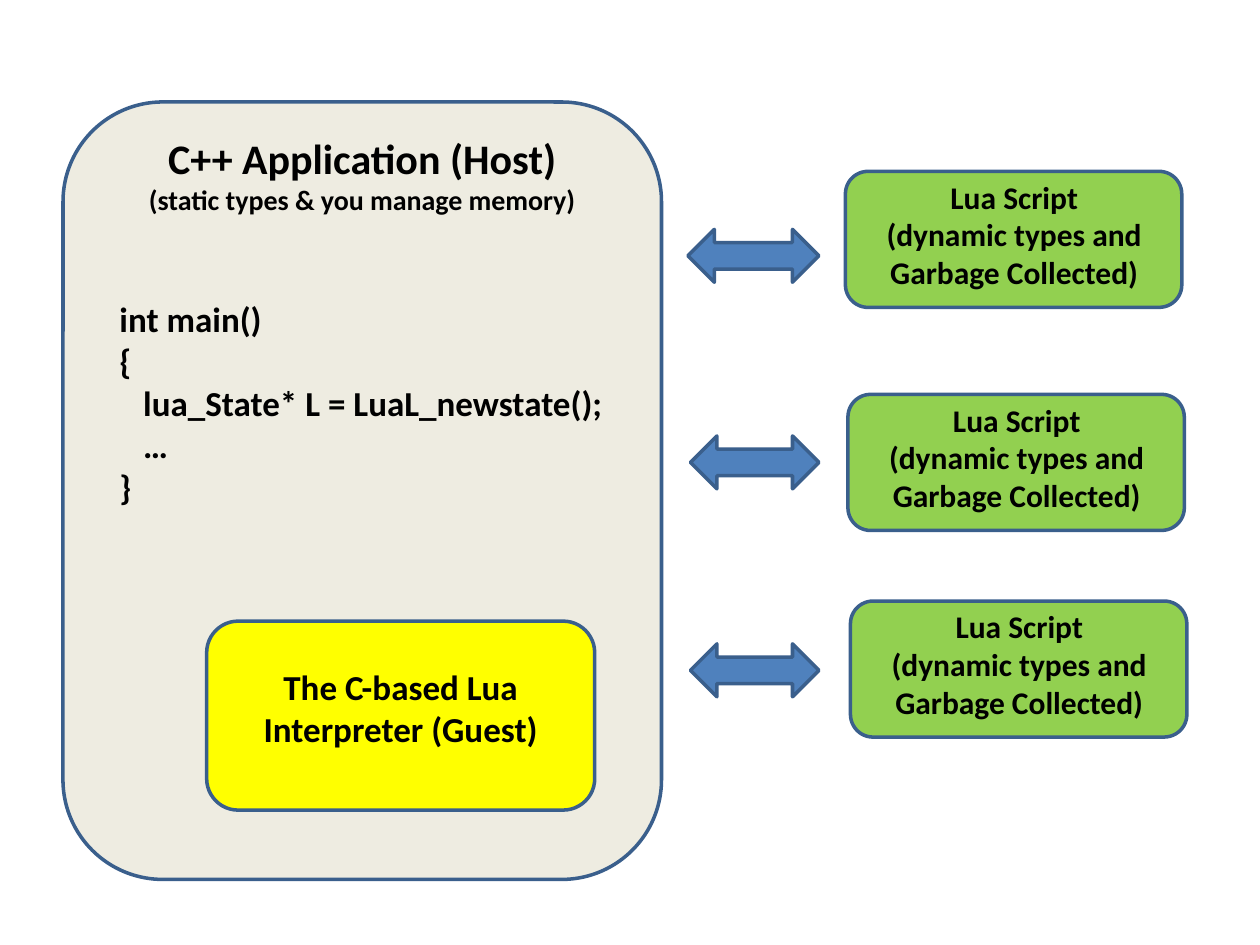
from pptx import Presentation
from pptx.dml.color import RGBColor
from pptx.enum.shapes import MSO_SHAPE
from pptx.enum.text import PP_ALIGN
from pptx.util import Inches, Pt

ROUNDED = MSO_SHAPE.ROUNDED_RECTANGLE
DOUBLE_ARROW = MSO_SHAPE.LEFT_RIGHT_ARROW
LEFT, CENTER = PP_ALIGN.LEFT, PP_ALIGN.CENTER

FONT = "Calibri"
OUTLINE, BLUE = "3A5F8C", "4F81BD"
BEIGE, YELLOW, GREEN = "EEECE1", "FFFF00", "92D050"
BLACK = "000000"

CODE = ["int main()", "{", "   lua_State* L = LuaL_newstate();", "   …", "}"]
SCRIPT_LINES = ["Lua Script", "(dynamic types and Garbage Collected)"]


def color(hex_string):
    return RGBColor.from_string(hex_string)


def add_block(shapes, kind, box, fill):
    """Add an outlined preset shape at box (left, top, width, height)."""
    shape = shapes.add_shape(kind, *map(Inches, box))
    shape.shadow.inherit = False
    shape.fill.solid()
    shape.fill.fore_color.rgb = color(fill)
    shape.line.color.rgb = color(OUTLINE)
    shape.line.width = Pt(2)


def add_text(shapes, box, lines, sizes, align=CENTER):
    """Add a text box with one bold paragraph for each line."""
    frame = shapes.add_textbox(*map(Inches, box)).text_frame
    frame.word_wrap = True
    for index, (line, size) in enumerate(zip(lines, sizes)):
        paragraph = frame.paragraphs[0] if index == 0 else frame.add_paragraph()
        paragraph.alignment = align
        run = paragraph.add_run()
        run.text = line
        run.font.name = FONT
        run.font.size = Pt(size)
        run.font.bold = True
        run.font.color.rgb = color(BLACK)


def add_interpreter(slide, left, top, width, height):
    shapes = slide.shapes.add_group_shape().shapes
    add_block(shapes, ROUNDED, (left, top, width, height), YELLOW)
    add_text(shapes, (left, top + 0.3, width, 0.77),
             ["The C-based Lua Interpreter (Guest)"], [20])


def add_host(slide, left, top, width, height):
    shapes = slide.shapes
    add_block(shapes, ROUNDED, (left, top, width, height), BEIGE)
    add_interpreter(slide, left + 1.14, top + 4.12, 3.08, 1.5)
    add_text(shapes, (left, top + 0.19, width, 0.77),
             ["C++ Application (Host)", "(static types & you manage memory)"],
             [24, 16])
    add_text(shapes, (left + 0.35, top + 1.5, 4.17, 1.78),
             CODE, [20] * len(CODE), LEFT)


def add_script(slide, left, top, width, height):
    shapes = slide.shapes.add_group_shape().shapes
    add_block(shapes, ROUNDED, (left, top, width, height), GREEN)
    add_text(shapes, (left + 0.02, top, width - 0.03, 1.01),
             SCRIPT_LINES, [18, 18])


def main():
    presentation = Presentation()
    presentation.slide_width = Inches(10)
    presentation.slide_height = Inches(7.5)
    slide = presentation.slides.add_slide(presentation.slide_layouts[6])

    # Host application with the embedded interpreter
    add_host(slide, 0.5, 0.81, 4.75, 6.17)

    # Scripts, each linked to the host by a double arrow
    arrow_right = 6.5
    rows = [(6.71, 1.36, 5.46, 1.82),
            (6.73, 3.13, 5.48, 3.46),
            (6.75, 4.77, 5.48, 5.11)]
    for script_left, script_top, arrow_left, arrow_top in rows:
        add_script(slide, script_left, script_top, 2.67, 1.08)
        arrow_box = (arrow_left, arrow_top, arrow_right - arrow_left, 0.42)
        add_block(slide.shapes, DOUBLE_ARROW, arrow_box, BLUE)

    presentation.save("out.pptx")


if __name__ == "__main__":
    main()
